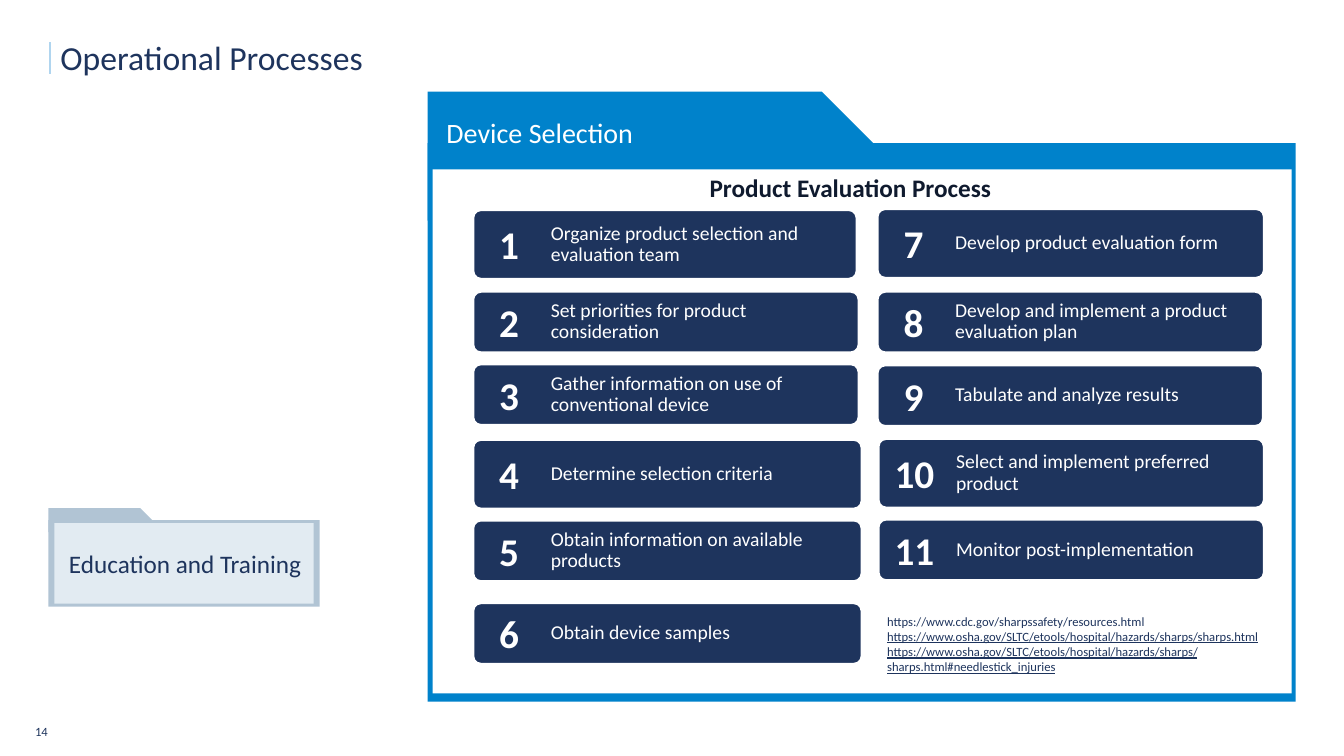
from pptx import Presentation
from pptx import util as u
from pptx.dml.color import RGBColor
from pptx.enum import shapes, text
from pptx.oxml.ns import qn

EMU_PER_PX = 9144  # 100 px to the inch
NAVY, BLUE, WHITE = "1E345D", "0082CB", "FFFFFF"
GREY_BLUE, PALE_BLUE, SKY, INK = "B1C4D4", "E2EBF2", "B0D5EF", "0F1A2E"
LEFT, CENTER = text.PP_ALIGN.LEFT, text.PP_ALIGN.CENTER
TOP, MIDDLE = text.MSO_ANCHOR.TOP, text.MSO_ANCHOR.MIDDLE

# left, top, width, height, wording
STEPS = [
    (469, 208, 381, 69, "Organize product selection and evaluation team"),
    (469, 289, 383, 61, "Set priorities for product consideration"),
    (469, 361, 383, 61, "Gather information on use of conventional device"),
    (469, 436, 386, 69, "Determine selection criteria"),
    (469, 516, 386, 61, "Obtain information on available products"),
    (469, 598, 386, 61, "Obtain device samples"),
    (870, 207, 384, 69, "Develop product evaluation form"),
    (870, 289, 383, 61, "Develop and implement a product evaluation plan"),
    (870, 362, 383, 61, "Tabulate and analyze results"),
    (871, 435, 383, 69, "Select and implement preferred product"),
    (871, 515, 383, 61, "Monitor post-implementation"),
]
SOURCES = [
    "https://www.cdc.gov/sharpssafety/resources.html",
    "https://www.osha.gov/SLTC/etools/hospital/hazards/sharps/sharps.html",
    "https://www.osha.gov/SLTC/etools/hospital/hazards/sharps/sharps.html"
    "#needlestick_injuries",
]


def px(*lengths):
    return [u.Emu(length * EMU_PER_PX) for length in lengths]


def rgb(hex_string):
    return RGBColor.from_string(hex_string)


class SlideBuilder:
    font = "Calibri"

    def __init__(self, slide):
        self.slide = slide

    def set_text(self, frame, wording, size, color, bold=False, align=LEFT,
                 anchor=TOP, wrap=True):
        frame.text = wording
        frame.word_wrap = wrap
        frame.auto_size = text.MSO_AUTO_SIZE.NONE
        frame.vertical_anchor = anchor
        for paragraph in frame.paragraphs:
            paragraph.alignment = align
            for run in paragraph.runs:
                run.font.name = self.font
                run.font.size = u.Pt(size)
                run.font.bold = bold
                run.font.color.rgb = rgb(color)
        return frame

    def title(self, box, wording, size, color):
        heading = self.slide.shapes.title
        heading.left, heading.top, heading.width, heading.height = px(*box)
        self.set_text(heading.text_frame, wording, size, color)

    def label(self, box, wording, size, color, **style):
        frame = self.slide.shapes.add_textbox(*px(*box)).text_frame
        return self.set_text(frame, wording, size, color, **style)

    def block(self, preset, box, fill):
        block = self.slide.shapes.add_shape(preset, *px(*box))
        block.shadow.inherit = False
        block.fill.solid()
        block.fill.fore_color.rgb = rgb(fill)
        block.line.fill.background()
        return block

    def rule(self, start, end, color, width):
        rule = self.slide.shapes.add_connector(
            shapes.MSO_CONNECTOR.STRAIGHT, *px(*start, *end))
        rule.line.color.rgb = rgb(color)
        rule.line.width = u.Pt(width)
        properties = rule._element.spPr
        properties.append(properties.makeelement(qn("a:effectLst"), {}))

    def folder(self, back, tab, front, color, front_color):
        self.block(shapes.MSO_SHAPE.RECTANGLE, back, color)
        self.block(shapes.MSO_SHAPE.PENTAGON, tab, color)
        self.block(shapes.MSO_SHAPE.RECTANGLE, front, front_color)

    def step(self, number, left, top, width, height, wording):
        """Add a rounded card with its number centred near the left edge."""
        card = self.block(shapes.MSO_SHAPE.ROUNDED_RECTANGLE,
                          (left, top, width, height), NAVY)
        card.adjustments[0] = 8 / height
        card.line.color.rgb = rgb(WHITE)
        card.line.width = u.Pt(2)
        frame = self.set_text(card.text_frame, wording, 14, WHITE,
                              anchor=MIDDLE)
        frame.margin_left, frame.margin_right = px(75, 25)
        frame.margin_top, frame.margin_bottom = px(3, 3)
        frame.paragraphs[0].line_spacing = 0.9
        self.label((left + 6, top + (height - 57) // 2, 60, 57), str(number),
                   28, WHITE, bold=True, align=CENTER, wrap=False)


def main():
    deck = Presentation()
    deck.slide_width, deck.slide_height = px(1333, 750)
    builder = SlideBuilder(deck.slides.add_slide(deck.slide_layouts[5]))

    builder.label((25, 708, 255, 35), "14", 9, NAVY, anchor=MIDDLE)
    builder.rule((50, 42), (50, 73), SKY, 1.5)
    builder.title((50, 32, 1220, 55), "Operational Processes", 24, NAVY)

    builder.folder((424, 142, 861, 554), (424, 91, 455, 128),
                   (429, 168, 852, 520), BLUE, WHITE)
    builder.label((433, 110, 207, 44), "Device Selection", 20, WHITE, wrap=False)
    builder.label((433, 166, 821, 40), "Product Evaluation Process", 18, INK,
                  bold=True, align=CENTER)
    for number, card in enumerate(STEPS, 1):
        builder.step(number, *card)

    sources = builder.label((870, 604, 400, 71), "\n".join(SOURCES), 9, NAVY)
    for address in sources.paragraphs[1:]:
        address.runs[0].font.underline = True

    builder.folder((48, 516, 269, 86), (48, 504, 103, 24),
                   (54, 519, 257, 80), GREY_BLUE, PALE_BLUE)
    builder.label((49, 539, 269, 40), "Education and Training", 18, NAVY,
                  align=CENTER)
    deck.save("out.pptx")


if __name__ == "__main__":
    main()
